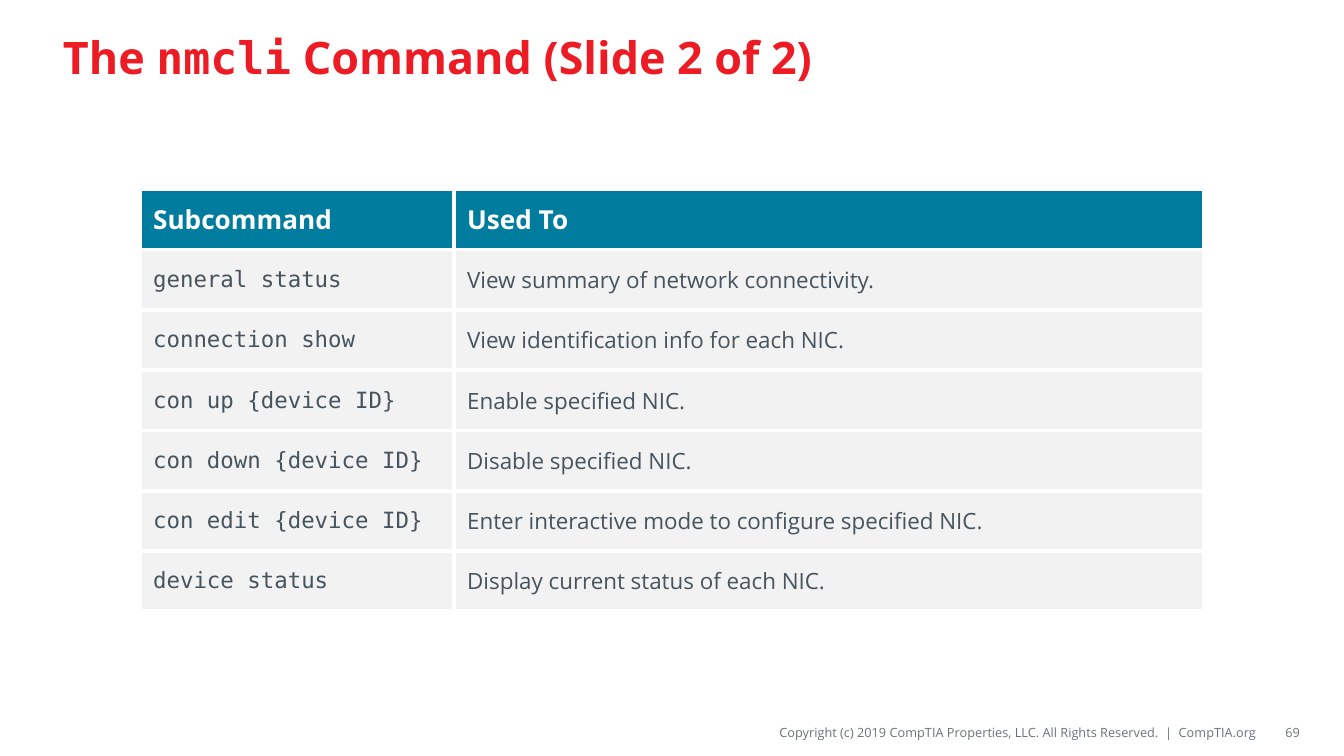
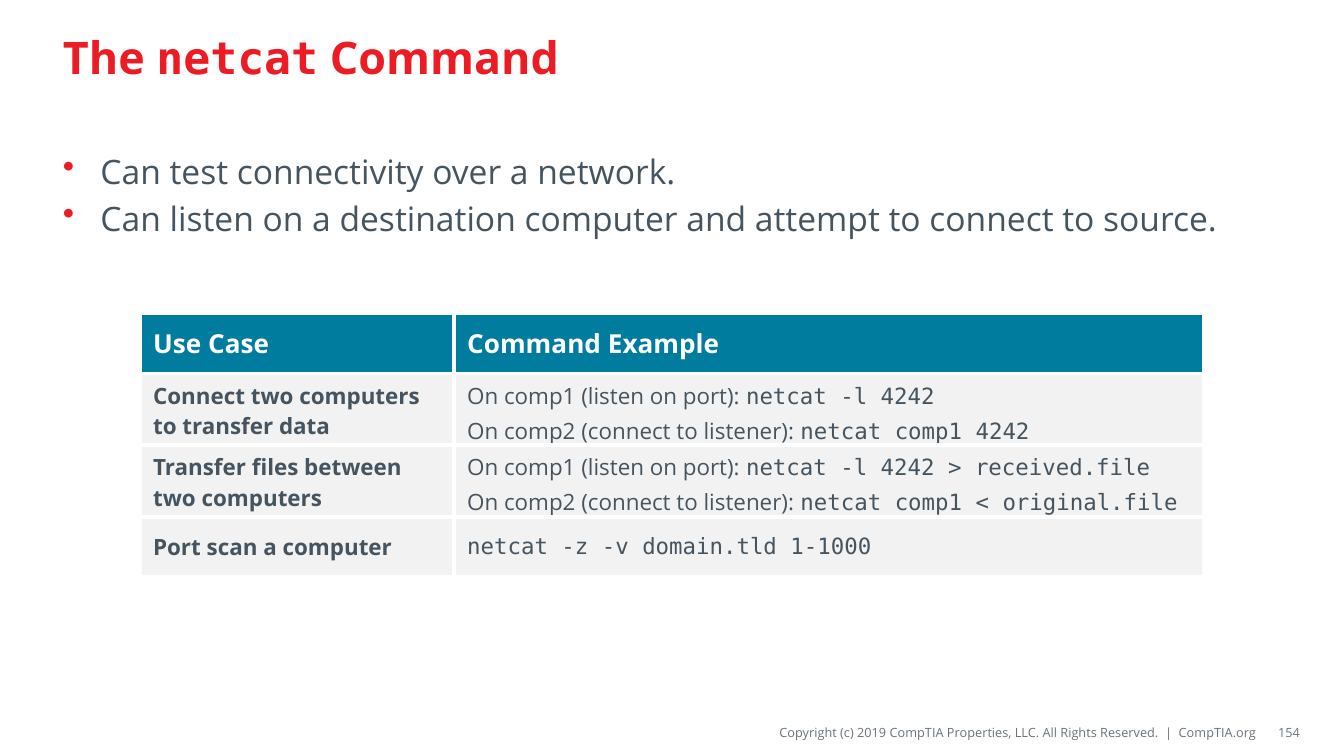
from dataclasses import dataclass

from lxml.etree import SubElement
from pptx import Presentation
from pptx.dml.color import RGBColor
from pptx.enum.text import MSO_ANCHOR, PP_ALIGN
from pptx.oxml.ns import qn
from pptx.util import Cm, Pt

RED = "ED1C24"
TEAL = "007C9E"
SLATE = "45545F"
GRAY = "69727B"
PALE = "F2F2F2"
WHITE = "FFFFFF"
TEXT_FONT = "Open Sans"
CODE_FONT = "DejaVu Sans Mono"
ROW_HEIGHT = 1.14
COLUMN_SHARES = (0.295, 0.705)
COPYRIGHT = "Copyright (c) 2019 CompTIA Properties, LLC. All Rights Reserved.  |  CompTIA.org"


@dataclass
class Box:
    """A rectangle in centimetres."""

    left: float
    top: float
    width: float
    height: float

    def lengths(self):
        """Return the four sides as slide lengths."""
        return Cm(self.left), Cm(self.top), Cm(self.width), Cm(self.height)


TITLE_BOX = Box(0.94, 0.2, 23.5, 1.75)
BODY_BOX = Box(0.94, 2.72, 23.5, 9.91)
FOOTER_BOX = Box(9.86, 13.56, 14.71, 0.56)
NUMBER_WIDTH = 0.74
NUMBER_GAP = 0.08

SUBCOMMANDS = [
    ("Subcommand", "Used To"),
    ("`general status`", "View summary of network connectivity."),
    ("`connection show`", "View identification info for each NIC."),
    ("`con up {device ID}`", "Enable specified NIC."),
    ("`con down {device ID}`", "Disable specified NIC."),
    ("`con edit {device ID}`", "Enter interactive mode to configure specified NIC."),
    ("`device status`", "Display current status of each NIC."),
]

LISTEN = "On comp1 (listen on port): "
CONNECT = "On comp2 (connect to listener): "
USE_CASES = [
    ("Use Case", "Command Example"),
    ("Connect two computers to transfer data",
     f"{LISTEN}`netcat -l 4242`\n{CONNECT}`netcat comp1 4242`"),
    ("Transfer files between two computers",
     f"{LISTEN}`netcat -l 4242 > received.file`\n{CONNECT}`netcat comp1 < original.file`"),
    ("Port scan a computer", "`netcat -z -v domain.tld 1-1000`"),
]

NETCAT_POINTS = (
    "Can test connectivity over a network.\n"
    "Can listen on a destination computer and attempt to connect to source."
)


def color(value):
    """Turn a hex string into a colour."""
    return RGBColor.from_string(value)


def add_bullet(paragraph):
    """Give a paragraph a red bullet with a hanging indent."""
    properties = paragraph._p.get_or_add_pPr()
    properties.set("marL", str(Cm(0.71)))
    properties.set("indent", str(-Cm(0.71)))
    bullet_color = SubElement(properties, qn("a:buClr"))
    SubElement(bullet_color, qn("a:srgbClr"), val=RED)
    SubElement(properties, qn("a:buChar"), char="•")


def write_text(frame, text, size, font_color, bold=False,
               alignment=PP_ALIGN.LEFT, bulleted=False):
    """Write one paragraph a line, with words in backticks set as code."""
    for index, line in enumerate(text.split("\n")):
        paragraph = frame.add_paragraph() if index else frame.paragraphs[0]
        paragraph.alignment = alignment
        if index:
            paragraph.space_before = Pt(size * 0.2)
        if bulleted:
            add_bullet(paragraph)
        font = paragraph.font
        font.name, font.size, font.bold = TEXT_FONT, Pt(size), bold
        font.color.rgb = color(font_color)
        for position, piece in enumerate(line.split("`")):
            if piece:
                run = paragraph.add_run()
                run.text = piece
                if position % 2:
                    run.font.name = CODE_FONT


def add_text(slide, box, text, size, font_color, anchor=MSO_ANCHOR.MIDDLE,
             margins=(0.25, 0.13, 0.25, 0.13), **style):
    """Add a wrapping text box."""
    frame = slide.shapes.add_textbox(*box.lengths()).text_frame
    frame.word_wrap = True
    frame.vertical_anchor = anchor
    (frame.margin_left, frame.margin_top,
     frame.margin_right, frame.margin_bottom) = map(Cm, margins)
    write_text(frame, text, size, font_color, **style)


def add_footer(slide, box, number):
    """Add the copyright line and the slide number at the right of it."""
    line_width = box.width - NUMBER_WIDTH - NUMBER_GAP
    number_left = box.left + box.width - NUMBER_WIDTH
    parts = [
        (COPYRIGHT, box.left, line_width, (0, 0.1, 0, 0.1)),
        (str(number), number_left, NUMBER_WIDTH, (0.25, 0.13, 0, 0.13)),
    ]
    for text, left, width, margins in parts:
        add_text(slide, Box(left, box.top, width, box.height), text, 6.8, GRAY,
                 margins=margins, alignment=PP_ALIGN.RIGHT)


def add_borders(cell):
    """Draw white lines on all sides of a cell."""
    properties = cell._tc.get_or_add_tcPr()
    for side in ("lnL", "lnR", "lnT", "lnB"):
        line = SubElement(properties, qn(f"a:{side}"), w=str(Pt(2.25)))
        fill = SubElement(line, qn("a:solidFill"))
        SubElement(fill, qn("a:srgbClr"), val=WHITE)


def add_command_table(slide, box, rows, bold_labels=False):
    """Add a two-column table with a teal header row."""
    table = slide.shapes.add_table(len(rows), len(COLUMN_SHARES), *box.lengths()).table
    table.horz_banding = False
    for column, share in zip(table.columns, COLUMN_SHARES):
        column.width = Cm(box.width * share)
    for row_index, texts in enumerate(rows):
        table.rows[row_index].height = Cm(ROW_HEIGHT)
        header = row_index == 0
        for column_index, text in enumerate(texts):
            cell = table.cell(row_index, column_index)
            add_borders(cell)
            cell.fill.solid()
            cell.fill.fore_color.rgb = color(TEAL if header else PALE)
            cell.vertical_anchor = MSO_ANCHOR.MIDDLE
            bold = header or (bold_labels and column_index == 0)
            write_text(cell.text_frame, text, 14 if header else 12,
                       WHITE if header else SLATE, bold)


def add_command_slide(presentation, title, number, rows, table_top,
                      points=None, bold_labels=False):
    """Add a slide with a title, optional bullets, a table and a footer."""
    slide = presentation.slides.add_slide(presentation.slide_layouts[6])
    add_text(slide, TITLE_BOX, title, 24, RED, bold=True)
    add_footer(slide, FOOTER_BOX, number)
    if points:
        add_text(slide, BODY_BOX, points, 18, SLATE, MSO_ANCHOR.TOP, bulleted=True)
    table_box = Box(2.64, table_top, 20.12, ROW_HEIGHT * len(rows))
    add_command_table(slide, table_box, rows, bold_labels)


def main():
    """Build and save the presentation."""
    presentation = Presentation()
    presentation.slide_width, presentation.slide_height = Cm(25.4), Cm(14.29)
    add_command_slide(presentation, "The `nmcli` Command (Slide 2 of 2)", 69,
                      SUBCOMMANDS, 3.58)
    add_command_slide(presentation, "The `netcat` Command", 154, USE_CASES, 5.92,
                      NETCAT_POINTS, bold_labels=True)
    presentation.save("out.pptx")


if __name__ == "__main__":
    main()
